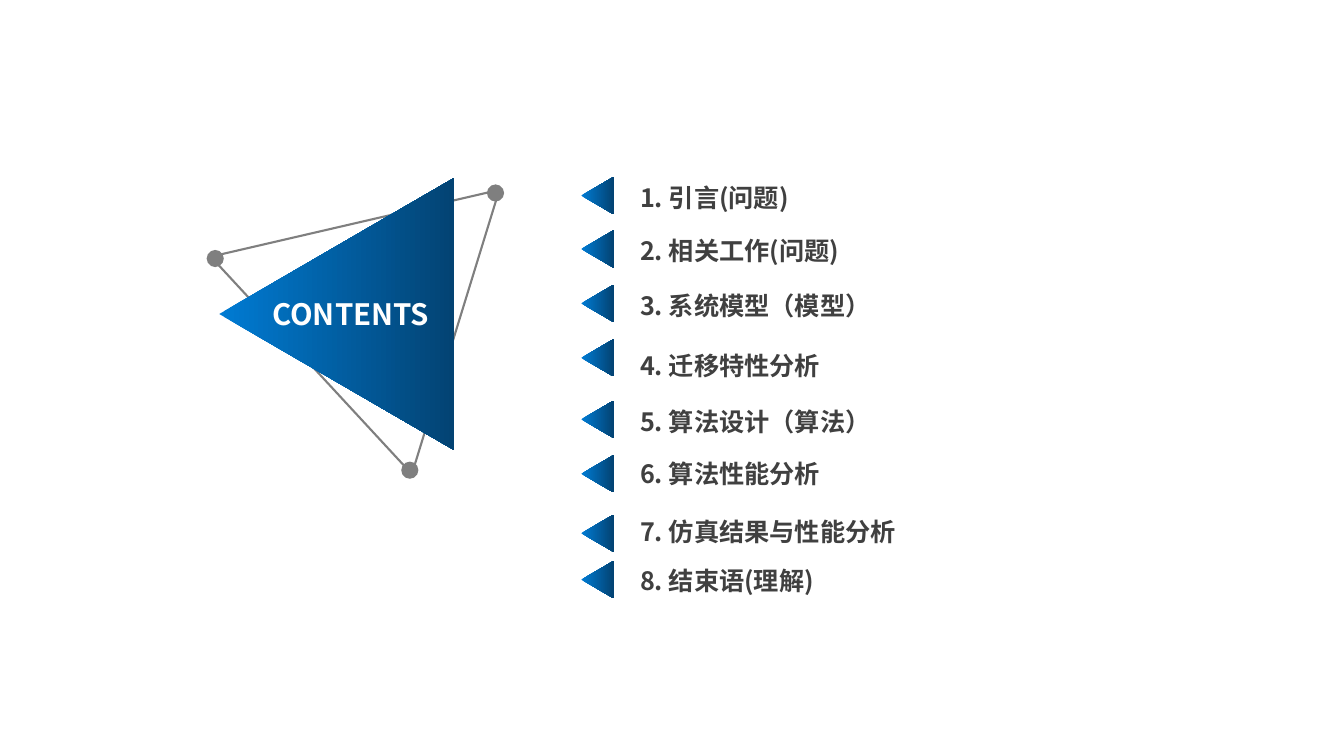
"""Build a contents slide with a triangle emblem and eight numbered sections."""
import pptx
import pptx.util
import pptx.dml.color
import pptx.enum.shapes
import pptx.enum.text

FONT = "Noto Sans CJK SC"
WHITE, DARK, GREY = "FFFFFF", "404040", "7F7F7F"
GRADIENT = ["007BD3", "034373"]
TITLE = "CONTENTS"
TITLE_BOX = (2.6, 2.89, 1.9, 0.45)
OUTLINE_BOX, OUTLINE_ROTATION = (1.83, 1.65, 2.95, 2.54), 287.1
EMBLEM_BOX = (1.99, 1.95, 2.7, 2.33)
DOTS = [(2.05, 2.48), (3.98, 4.58), (4.83, 1.83)]
DOT_SIZE = 0.17
MARKER_LEFT, MARKER_WIDTH, MARKER_HEIGHT = 5.74, 0.37, 0.32
TEXT_LEFT, TEXT_HEIGHT = 6.25, 0.4
SECTIONS = [
    ("引言(问题)", 1.78, 1.76, 3.23),
    ("相关工作(问题)", 2.31, 2.29, 4.27),
    ("系统模型（模型）", 2.85, 2.83, 5.6),
    ("迁移特性分析", 3.39, 3.43, 5.93),
    ("算法设计（算法）", 4, 3.98, 3.4),
    ("算法性能分析", 4.54, 4.5, 3.4),
    ("仿真结果与性能分析", 5.13, 5.07, 3.4),
    ("结束语(理解)", 5.59, 5.56, 3.4),
]
FRAME_FORMAT = {
    "word_wrap": True,
    "auto_size": pptx.enum.text.MSO_AUTO_SIZE.SHAPE_TO_FIT_TEXT,
    "vertical_anchor": pptx.enum.text.MSO_ANCHOR.TOP,
}
PARAGRAPH_FORMAT = {"alignment": pptx.enum.text.PP_ALIGN.LEFT, "line_spacing": 1.0}
PRESETS = pptx.enum.shapes.MSO_SHAPE


def color(value):
    return pptx.dml.color.RGBColor.from_string(value)


def apply(target, values):
    for name, value in values.items():
        setattr(target, name, value)


def inches(box):
    return [pptx.util.Inches(length) for length in box]


def add_preset(shapes, preset, box, rotation=0):
    shape = shapes.add_shape(preset, *inches(box))
    shape.rotation = rotation
    shape.shadow.inherit = False
    shape.line.fill.background()
    return shape


def add_gradient_triangle(shapes, box):
    triangle = add_preset(shapes, PRESETS.ISOSCELES_TRIANGLE, box, 270)
    triangle.fill.gradient()
    triangle.fill.gradient_angle = 270
    for position, (stop, value) in enumerate(zip(triangle.fill.gradient_stops, GRADIENT)):
        stop.position = position
        stop.color.rgb = color(value)


def write(shape, text, size, value):
    apply(shape.text_frame, FRAME_FORMAT)
    paragraph = shape.text_frame.paragraphs[0]
    apply(paragraph, PARAGRAPH_FORMAT)
    run = paragraph.add_run()
    run.text = text
    apply(run.font, {"name": FONT, "size": pptx.util.Pt(size), "bold": True})
    run.font.color.rgb = color(value)
    properties = run.font._element
    east_asian = properties.makeelement(pptx.oxml.ns.qn("a:ea"), {"typeface": FONT})
    properties.append(east_asian)


def add_emblem(slide):
    shapes = slide.shapes.add_group_shape().shapes
    outline = add_preset(shapes, PRESETS.ISOSCELES_TRIANGLE, OUTLINE_BOX, OUTLINE_ROTATION)
    outline.fill.background()
    outline.line.color.rgb = color(GREY)
    outline.line.width = pptx.util.Pt(1.5)
    add_gradient_triangle(shapes, EMBLEM_BOX)
    for left, top in DOTS:
        dot = add_preset(shapes, PRESETS.OVAL, (left, top, DOT_SIZE, DOT_SIZE))
        dot.fill.solid()
        dot.fill.fore_color.rgb = color(GREY)


def add_title(slide):
    title = slide.shapes.title
    apply(title, dict(zip(("left", "top", "width", "height"), inches(TITLE_BOX))))
    write(title, TITLE, 21, WHITE)
    title.element.getparent().append(title.element)


def add_sections(slide):
    for number, (name, marker_top, text_top, text_width) in enumerate(SECTIONS, 1):
        add_gradient_triangle(slide.shapes, (MARKER_LEFT, marker_top, MARKER_WIDTH, MARKER_HEIGHT))
        box = slide.shapes.add_textbox(*inches((TEXT_LEFT, text_top, text_width, TEXT_HEIGHT)))
        write(box, f"{number}. {name}", 18, DARK)


def main():
    presentation = pptx.Presentation()
    apply(presentation, {"slide_width": pptx.util.Inches(13.33), "slide_height": pptx.util.Inches(7.5)})
    slide = presentation.slides.add_slide(presentation.slide_layouts[5])
    add_emblem(slide)
    add_title(slide)
    add_sections(slide)
    presentation.save("out.pptx")


if __name__ == "__main__":
    main()
